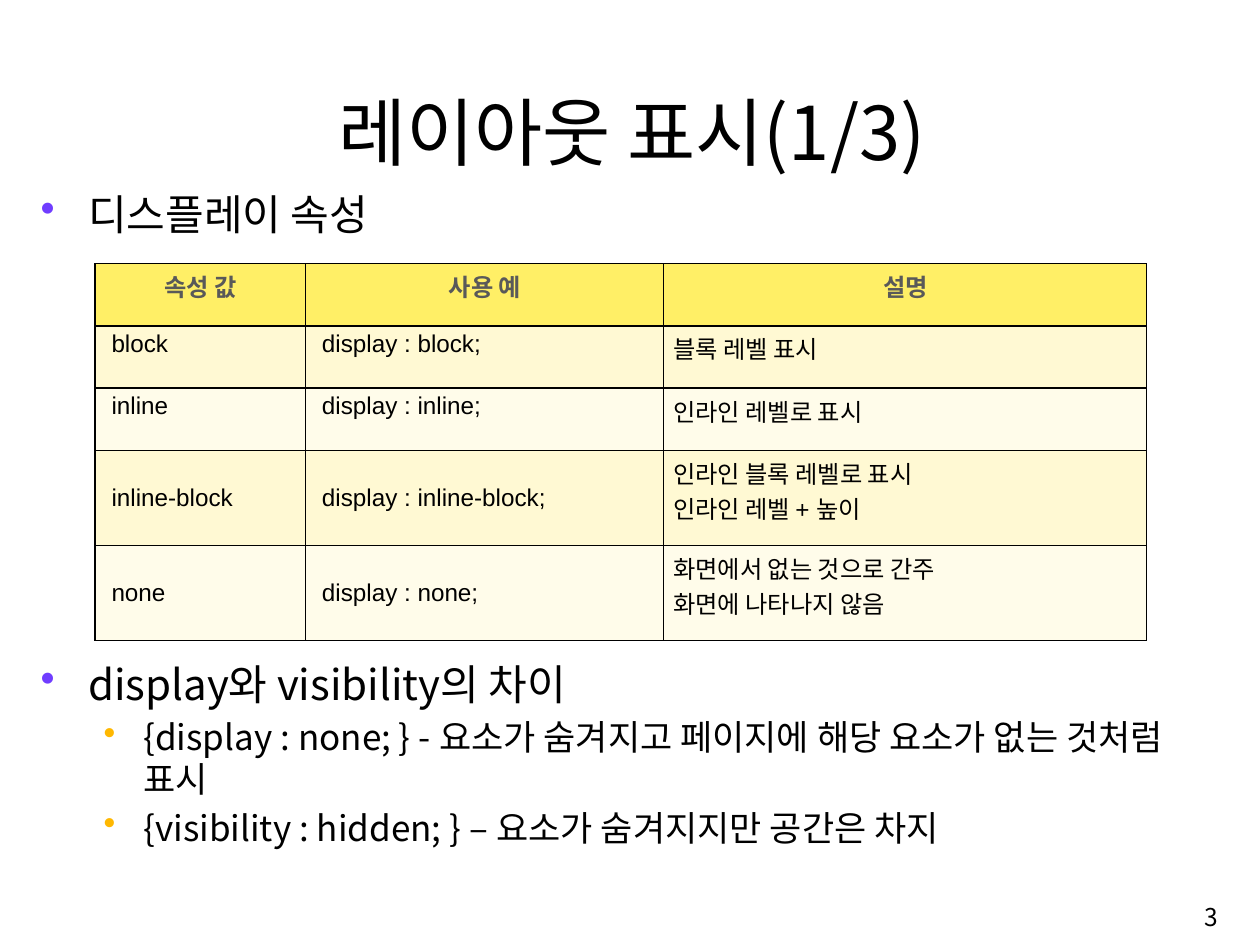
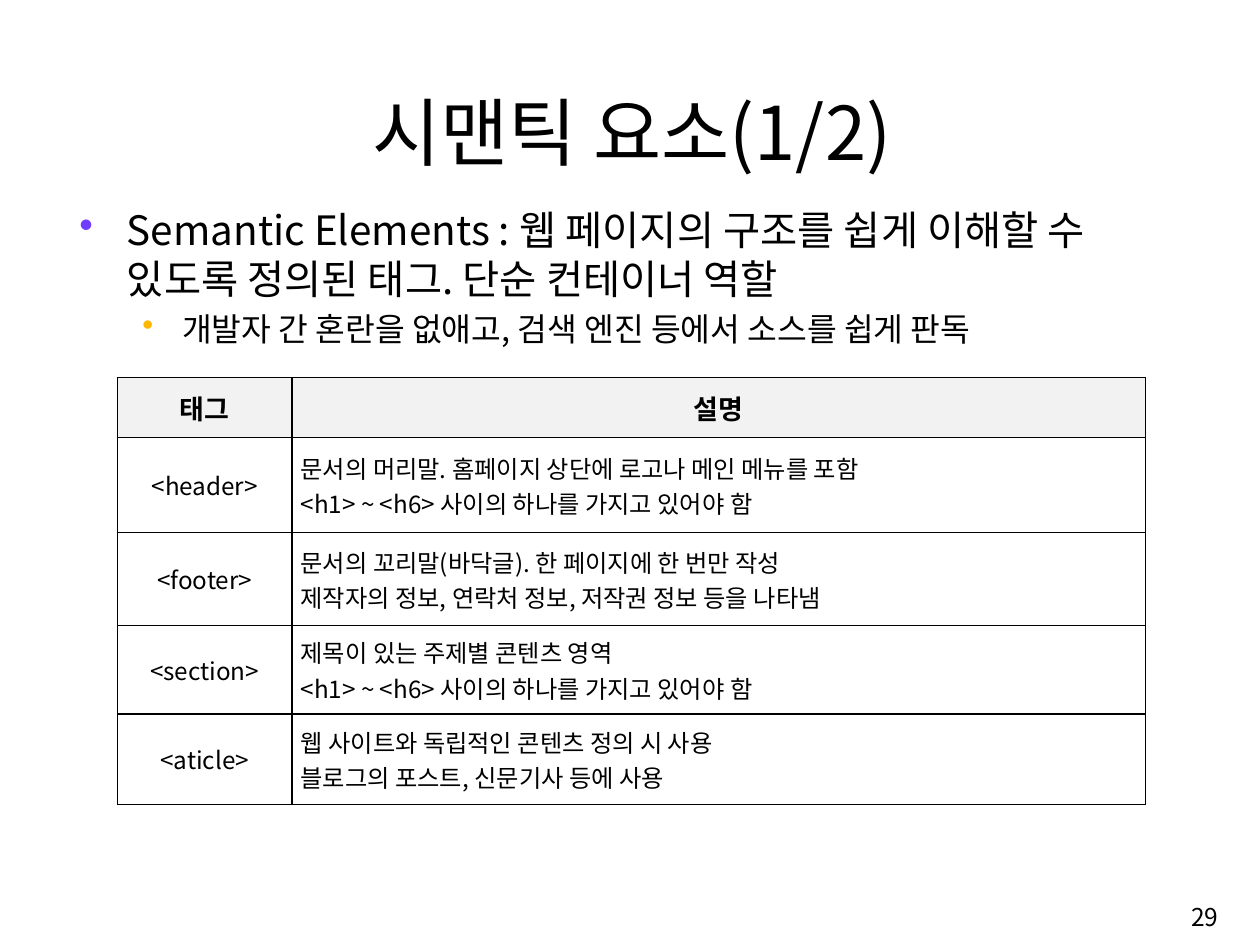
from dataclasses import dataclass

from lxml import etree
from pptx import Presentation
from pptx.dml.color import RGBColor
from pptx.enum.text import MSO_ANCHOR, MSO_AUTO_SIZE, PP_ALIGN
from pptx.oxml.ns import qn
from pptx.util import Inches, Pt

SANS, LATIN = "Noto Sans CJK KR", "Arial"
BLACK = RGBColor(0x00, 0x00, 0x00)
GREY = RGBColor(0x59, 0x59, 0x59)
PALE = RGBColor(0xF2, 0xF2, 0xF2)
YELLOW = RGBColor(0xFF, 0xEF, 0x66)
CREAM = RGBColor(0xFF, 0xF9, 0xD3)
IVORY = RGBColor(0xFF, 0xFC, 0xEA)
PURPLE = RGBColor(0x70, 0x3D, 0xFF)
AMBER = RGBColor(0xFF, 0xB8, 0x00)
LEFT, CENTER, RIGHT, JUSTIFY = PP_ALIGN.LEFT, PP_ALIGN.CENTER, PP_ALIGN.RIGHT, PP_ALIGN.JUSTIFY
TOP, MIDDLE, BOTTOM = MSO_ANCHOR.TOP, MSO_ANCHOR.MIDDLE, MSO_ANCHOR.BOTTOM
TITLE_ONLY = 5


@dataclass
class Box:
    left: float
    top: float
    width: float
    height: float

    def lengths(self) -> list:
        return [Inches(v) for v in (self.left, self.top, self.width, self.height)]


@dataclass
class Level:
    margin: float
    hang: float
    before: float
    bullet: RGBColor


@dataclass
class Item:
    text: str
    size: float
    level: int = 0


@dataclass
class Style:
    """The look of one table cell."""
    fill: RGBColor | None = None
    font: str = SANS
    size: float = 18
    color: RGBColor = BLACK
    bold: bool = False
    align: PP_ALIGN = LEFT
    anchor: MSO_ANCHOR = MIDDLE
    side: float = 0.1
    edge: float = 0.05


@dataclass
class Grid:
    box: Box
    cols: list[float]
    rows: list[float]
    texts: list[tuple[str, ...]]


LEVELS = [Level(0.49, 0.49, 4, PURPLE), Level(1.06, 0.41, 5, AMBER)]
TITLE = Box(1.21, 0.78, 10.61, 1.08)
NUMBER = Box(9.98, 9.15, 2.68, 0.6)


def set_font(para, size: float, name: str = SANS, color: RGBColor = BLACK, bold: bool = False) -> None:
    """Format a paragraph, with pair kerning off."""
    font = para.font
    font.size, font.name, font.bold = Pt(size), name, bold
    font.color.rgb = color
    font._element.set("kern", "0")
    if name == SANS:
        etree.SubElement(font._element, qn("a:ea"), typeface=name)


def set_line(shape, text: str, size: float, align: PP_ALIGN, anchor: MSO_ANCHOR) -> None:
    frame = shape.text_frame
    frame.word_wrap, frame.auto_size = True, MSO_AUTO_SIZE.NONE
    frame.vertical_anchor = anchor
    frame.text = text
    para = frame.paragraphs[0]
    para.alignment = align
    set_font(para, size)


def add_page(deck, title: str, number: int):
    """Add a slide with its title and page number."""
    slide = deck.slides.add_slide(deck.slide_layouts[TITLE_ONLY])
    head = slide.shapes.title
    head.left, head.top, head.width, head.height = TITLE.lengths()
    set_line(head, title, 55, CENTER, BOTTOM)
    set_line(slide.shapes.add_textbox(*NUMBER.lengths()), str(number), 18.2, RIGHT, MIDDLE)
    return slide


def set_bullet(para, level: Level) -> None:
    props = para._p.get_or_add_pPr()
    props.set("marL", str(Inches(level.margin)))
    props.set("indent", str(-Inches(level.hang)))
    color = etree.Element(qn("a:buClr"))
    etree.SubElement(color, qn("a:srgbClr"), val=str(level.bullet))
    char = etree.Element(qn("a:buChar"), char="•")
    font = props.find(qn("a:defRPr"))
    font.addprevious(color)
    font.addprevious(char)


def add_list(slide, box: Box, items: list[Item]) -> None:
    frame = slide.shapes.add_textbox(*box.lengths()).text_frame
    frame.word_wrap = True
    for i, item in enumerate(items):
        para = frame.add_paragraph() if i else frame.paragraphs[0]
        level = LEVELS[item.level]
        para.text, para.level = item.text, item.level
        para.space_before = Pt(level.before)
        set_font(para, item.size)
        set_bullet(para, level)


def set_border(cell) -> None:
    props = cell._tc.get_or_add_tcPr()
    for i, side in enumerate(("lnL", "lnR", "lnT", "lnB")):
        line = etree.Element(qn(f"a:{side}"), w=str(Pt(1)))
        fill = etree.SubElement(line, qn("a:solidFill"))
        etree.SubElement(fill, qn("a:srgbClr"), val=str(BLACK))
        props.insert(i, line)


def set_cell(cell, text: str, style: Style) -> None:
    cell.text = text
    cell.vertical_anchor = style.anchor
    cell.margin_left, cell.margin_right = Inches(style.side), Inches(0.09)
    cell.margin_top = cell.margin_bottom = Inches(style.edge)
    if style.fill is None:
        cell.fill.background()
    else:
        cell.fill.solid()
        cell.fill.fore_color.rgb = style.fill
    for para in cell.text_frame.paragraphs:
        para.alignment = style.align
        set_font(para, style.size, style.font, style.color, style.bold)
    set_border(cell)


def add_grid(slide, grid: Grid, pick) -> None:
    """Draw a table; pick(row, col) gives the style of each cell."""
    frame = slide.shapes.add_table(len(grid.rows), len(grid.cols), *grid.box.lengths())
    table = frame.table
    table.first_row = table.horz_banding = False
    for col, width in zip(table.columns, grid.cols):
        col.width = Inches(width)
    for row, height in zip(table.rows, grid.rows):
        row.height = Inches(height)
    for r, texts in enumerate(grid.texts):
        for c, text in enumerate(texts):
            set_cell(table.cell(r, c), text, pick(r, c))


def layout_style(row: int, col: int) -> Style:
    if row == 0:
        return Style(YELLOW, LATIN, color=GREY, bold=True, align=CENTER, anchor=TOP)
    note = col == 2
    return Style(CREAM if row % 2 else IVORY, LATIN,
                 anchor=TOP if note or row < 3 else MIDDLE, side=0.1 if note else 0.17)


def tag_style(row: int, col: int) -> Style:
    if row == 0:
        return Style(PALE, size=20, bold=True, align=CENTER, side=0.09, edge=0.03)
    return Style(align=JUSTIFY if col else CENTER, side=0.09, edge=0.03)


DISPLAY = Grid(Box(0.98, 2.72, 10.84, 3.87), [2.17, 3.69, 4.98], [0.64] * 3 + [0.98] * 2, [
    ("속성 값", "사용 예", "설명"),
    ("block", "display : block;", "블록 레벨 표시"),
    ("inline", "display : inline;", "인라인 레벨로 표시"),
    ("inline-block", "display : inline-block;", "인라인 블록 레벨로 표시\n인라인 레벨 + 높이"),
    ("none", "display : none;", "화면에서 없는 것으로 간주\n화면에 나타나지 않음"),
])
TAGS = Grid(Box(1.21, 3.89, 10.61, 4.4), [1.8, 8.8], [0.62, 0.98, 0.96, 0.91, 0.93], [
    ("태그", "설명"),
    ("<header>", "문서의 머리말. 홈페이지 상단에 로고나 메인 메뉴를 포함\n"
                 "<h1> ~ <h6> 사이의 하나를 가지고 있어야 함"),
    ("<footer>", "문서의 꼬리말(바닥글). 한 페이지에 한 번만 작성\n"
                 "제작자의 정보, 연락처 정보, 저작권 정보 등을 나타냄"),
    ("<section>", "제목이 있는 주제별 콘텐츠 영역\n<h1> ~ <h6> 사이의 하나를 가지고 있어야 함"),
    ("<aticle>", "웹 사이트와 독립적인 콘텐츠 정의 시 사용\n블로그의 포스트, 신문기사 등에 사용"),
])


def main() -> None:
    deck = Presentation()
    deck.slide_width, deck.slide_height = Inches(12.99), Inches(9.74)

    slide = add_page(deck, "레이아웃 표시(1/3)", 3)
    add_list(slide, Box(0.32, 1.89, 12.32, 0.7), [Item("디스플레이 속성", 31.2)])
    add_grid(slide, DISPLAY, layout_style)
    add_list(slide, Box(0.32, 6.74, 12.32, 2.21), [
        Item("display와 visibility의 차이", 31.2),
        Item("{display : none; } - 요소가 숨겨지고 페이지에 해당 요소가 없는 것처럼 표시", 26, 1),
        Item("{visibility : hidden; } – 요소가 숨겨지지만 공간은 차지", 26, 1),
    ])

    slide = add_page(deck, "시맨틱 요소(1/2)", 29)
    add_list(slide, Box(0.72, 2.07, 11.59, 1.7), [
        Item("Semantic Elements : 웹 페이지의 구조를 쉽게 이해할 수 있도록 정의된 태그. 단순 컨테이너 역할", 30),
        Item("개발자 간 혼란을 없애고, 검색 엔진 등에서 소스를 쉽게 판독", 24, 1),
    ])
    add_grid(slide, TAGS, tag_style)
    deck.save("out.pptx")


if __name__ == "__main__":
    main()
